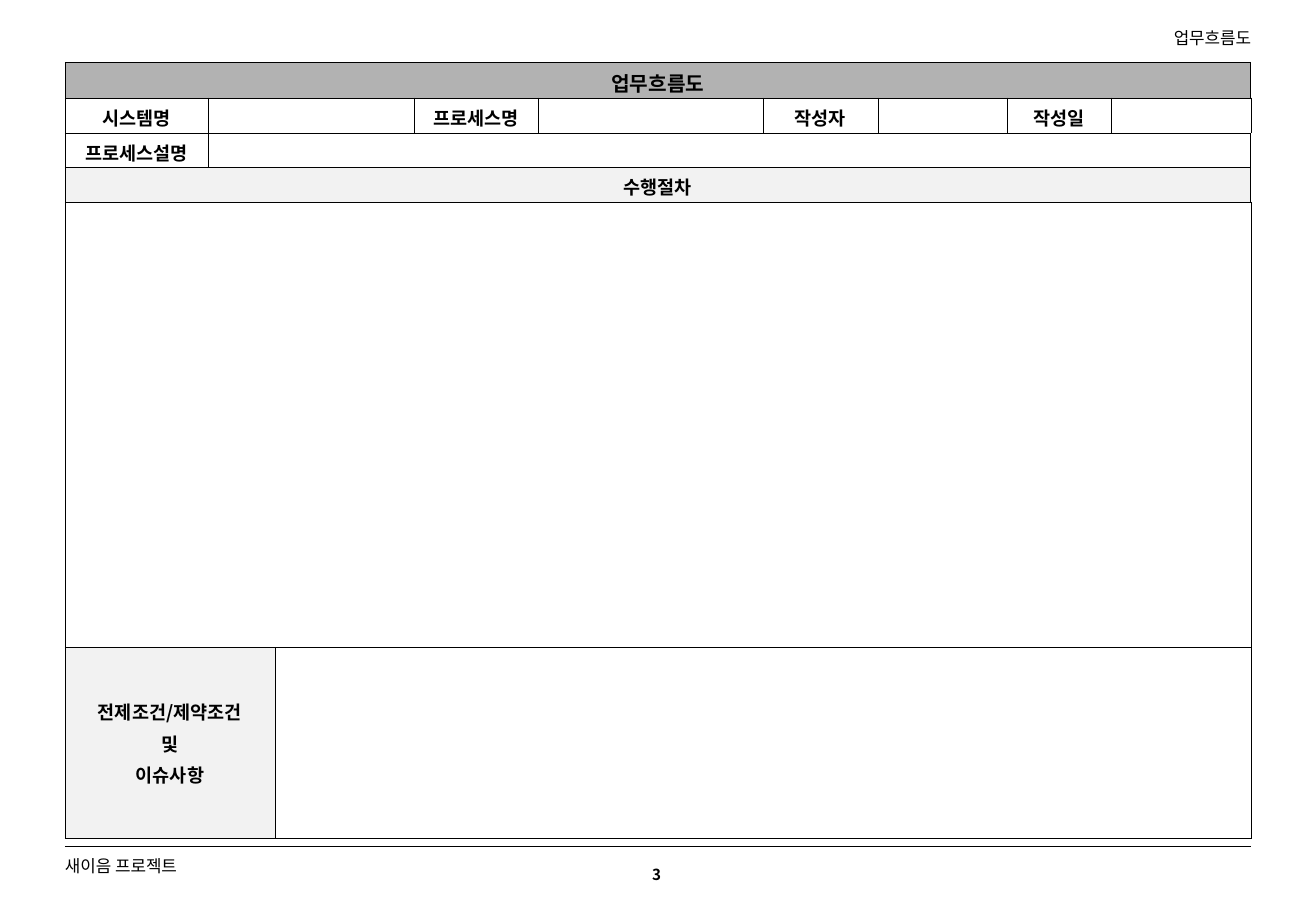
from dataclasses import dataclass

from lxml.etree import SubElement
from pptx import Presentation
from pptx.dml.color import RGBColor as Rgb
from pptx.enum.shapes import MSO_CONNECTOR as Connector
from pptx.enum.text import MSO_ANCHOR as Anchor, MSO_AUTO_SIZE as AutoSize, PP_ALIGN as Align
from pptx.oxml.ns import qn
from pptx.util import Inches, Pt

PX_PER_INCH = 121.4


@dataclass(frozen=True)
class Theme:
    font: str = "Noto Sans CJK KR"
    ink: str = "000000"
    paper: str = "FFFFFF"
    heading_fill: str = "B2B2B2"
    section_fill: str = "F2F2F2"
    heading_size: int = 12
    label_size: int = 11
    margin_size: int = 10
    number_size: int = 9
    rule: float = 0.75
    inner_border: float = 0.45
    outer_border: float = 0.34
    line_gap: float = 2.8


THEME = Theme()

COLUMN_WIDTHS = [143, 67, 139, 124, 225, 115, 129, 105, 139]
ROW_HEIGHTS = [36, 35, 34, 35, 445, 191]
LAST_COLUMN = len(COLUMN_WIDTHS) - 1
FORM_LEFT, FORM_TOP = 65, 62
FORM_RIGHT = FORM_LEFT + sum(COLUMN_WIDTHS)
LABEL_TOP_MARGIN = 6
PROCEDURE_ROW, CONDITIONS_ROW = 4, 5

# (row, first column, last column)
MERGES = [
    (0, 0, LAST_COLUMN),
    (1, 1, 2),
    (2, 1, LAST_COLUMN),
    (3, 0, LAST_COLUMN),
    (PROCEDURE_ROW, 0, LAST_COLUMN),
    (CONDITIONS_ROW, 0, 1),
    (CONDITIONS_ROW, 2, LAST_COLUMN),
]
LABELS = {
    (0, 0): "업무흐름도",
    (1, 0): "시스템명",
    (1, 3): "프로세스명",
    (1, 5): "작성자",
    (1, 7): "작성일",
    (2, 0): "프로세스설명",
    (3, 0): "수행절차",
    (CONDITIONS_ROW, 0): "전제조건/제약조건\n및\n이슈사항",
}
FILLS = {
    (0, 0): THEME.heading_fill,
    (3, 0): THEME.section_fill,
    (CONDITIONS_ROW, 0): THEME.section_fill,
}


def px(length):
    return Inches(length / PX_PER_INCH)


def format_text(frame, size, align, bold=False):
    for index, paragraph in enumerate(frame.paragraphs):
        paragraph.alignment = align
        paragraph.space_before = Pt(THEME.line_gap if index else 0)
        for run in paragraph.runs:
            font = run.font
            font.name, font.size, font.bold = THEME.font, Pt(size), bold
            font.color.rgb = Rgb.from_string(THEME.ink)
            east_asian = SubElement(font._element, qn("a:ea"))
            east_asian.set("typeface", THEME.font)


def place_text(shape, text, box, size, align, bold=False):
    shape.left, shape.top, shape.width, shape.height = map(px, box)
    frame = shape.text_frame
    frame.text = text
    frame.word_wrap = True
    frame.auto_size = AutoSize.NONE
    frame.vertical_anchor = Anchor.TOP
    frame.margin_left = frame.margin_right = frame.margin_top = frame.margin_bottom = 0
    format_text(frame, size, align, bold)


def add_text(slide, text, box, size, align, bold=False):
    place_text(slide.shapes.add_textbox(0, 0, 0, 0), text, box, size, align, bold)


def add_rule(slide, y):
    rule = slide.shapes.add_connector(
        Connector.STRAIGHT, px(FORM_LEFT), px(y), px(FORM_RIGHT), px(y))
    rule.line.color.rgb = Rgb.from_string(THEME.ink)
    rule.line.width = Pt(THEME.rule)
    SubElement(rule._element.spPr, qn("a:effectLst"))


def draw_borders(cell, row, column):
    """Use the finer line on the form's edge and around the two large rows."""
    large = row >= PROCEDURE_ROW
    fine_sides = {
        "L": large or column == 0,
        "R": large or column == LAST_COLUMN,
        "T": large or row == 0,
        "B": large or row == PROCEDURE_ROW - 1,
    }
    properties = cell._tc.get_or_add_tcPr()
    for side, fine in fine_sides.items():
        width = THEME.outer_border if fine else THEME.inner_border
        line = SubElement(properties, qn(f"a:ln{side}"), w=str(Pt(width)))
        SubElement(SubElement(line, qn("a:solidFill")), qn("a:srgbClr"), val=THEME.ink)


def fill_cell(cell, row, column):
    draw_borders(cell, row, column)
    cell.fill.solid()
    cell.fill.fore_color.rgb = Rgb.from_string(FILLS.get((row, column), THEME.paper))
    centred = row == CONDITIONS_ROW
    cell.vertical_anchor = Anchor.MIDDLE if centred else Anchor.TOP
    cell.margin_left = cell.margin_right = cell.margin_bottom = 0
    cell.margin_top = 0 if centred else px(LABEL_TOP_MARGIN)
    size = THEME.label_size if row else THEME.heading_size
    label = LABELS.get((row, column))
    if label:
        cell.text_frame.text = label
        format_text(cell.text_frame, size, Align.CENTER, bold=True)
    else:
        # An empty cell keeps its row low only with a small end-of-paragraph size.
        end = SubElement(cell.text_frame.paragraphs[0]._p, qn("a:endParaRPr"))
        end.set("sz", str(size * 100))


def add_form(slide):
    form = slide.shapes.add_table(
        len(ROW_HEIGHTS), len(COLUMN_WIDTHS), px(FORM_LEFT), px(FORM_TOP),
        px(sum(COLUMN_WIDTHS)), px(sum(ROW_HEIGHTS))).table
    form.first_row = form.horz_banding = False
    for column, width in zip(form.columns, COLUMN_WIDTHS):
        column.width = px(width)
    for row, height in zip(form.rows, ROW_HEIGHTS):
        row.height = px(height)
    for row, first, last in MERGES:
        form.cell(row, first).merge(form.cell(row, last))
    for row in range(len(ROW_HEIGHTS)):
        for column in range(len(COLUMN_WIDTHS)):
            fill_cell(form.cell(row, column), row, column)


def main():
    deck = Presentation()
    deck.slide_width, deck.slide_height = Inches(10.84), Inches(7.5)
    title_only = deck.slide_layouts[5]
    slide = deck.slides.add_slide(title_only)

    place_text(slide.shapes.title, "업무흐름도", (863, 28, 388, 25),
               THEME.margin_size, Align.RIGHT)
    add_form(slide)
    add_rule(slide, 846)
    add_text(slide, "새이음 프로젝트", (FORM_LEFT, 855, 431, 25),
             THEME.margin_size, Align.LEFT)
    add_text(slide, "3", (623, 865, 67, 24), THEME.number_size, Align.CENTER, bold=True)

    deck.save("out.pptx")


if __name__ == "__main__":
    main()
